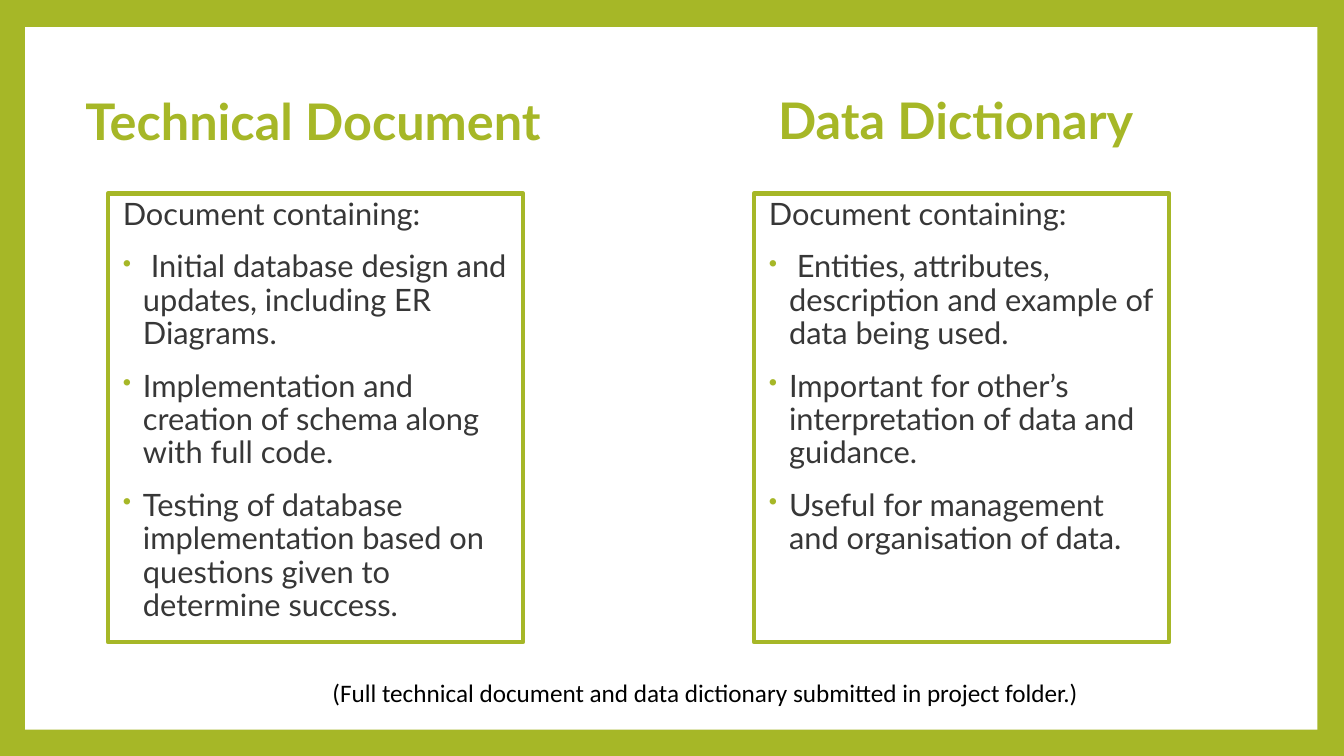
import pptx
import pptx.util
import pptx.dml.color
import pptx.enum.shapes
import pptx.enum.text
from lxml import etree

Pt = pptx.util.Pt
COLORS = {"green": "A6B727", "white": "FFFFFF", "body": "373737", "black": "000000"}
A_NS = "http://schemas.openxmlformats.org/drawingml/2006/main"
ANCHOR = pptx.enum.text.MSO_ANCHOR

CARD_W, CARD_H, CARD_TOP = 296.64, 320.4, 138.24
CARDS = [
    (77.04, [
        " Initial database design and updates, including ER Diagrams.",
        "Implementation and creation of schema along with full code.",
        "Testing of database implementation based on questions given to determine success.",
    ]),
    (538.56, [
        " Entities, attributes, description and example of data being used.",
        "Important for other’s interpretation of data and guidance.",
        "Useful for management and organisation of data.",
    ]),
]


def rgb(name):
    return pptx.dml.color.RGBColor.from_string(COLORS[name])


def add_run(p, text, size, color, font="Lato", bold=False):
    r = p.add_run()
    r.text = text
    r.font.name = font
    r.font.size = Pt(size)
    r.font.bold = bold
    r.font.color.rgb = rgb(color)


def add_rect(s, x, y, w, h):
    sp = s.shapes.add_shape(pptx.enum.shapes.MSO_SHAPE.RECTANGLE,
                            Pt(x), Pt(y), Pt(w), Pt(h))
    sp.shadow.inherit = False
    return sp


def add_frame(s, x, y, w, h):
    """White panel that leaves the green background as a border."""
    s.background.fill.solid()
    s.background.fill.fore_color.rgb = rgb("green")
    sp = add_rect(s, x, y, w, h)
    sp.fill.solid()
    sp.fill.fore_color.rgb = rgb("white")
    sp.line.fill.background()


def add_label(s, x, y, w, h, text, size, color, anchor=ANCHOR.TOP, **style):
    tf = s.shapes.add_textbox(Pt(x), Pt(y), Pt(w), Pt(h)).text_frame
    tf.word_wrap = True
    tf.vertical_anchor = anchor
    add_run(tf.paragraphs[0], text, size, color, **style)


def set_indent(p, left, first=0, bullet=False):
    """Set the paragraph margins in points, with a small green bullet if asked."""
    pPr = p._p.get_or_add_pPr()
    pPr.set("marL", str(Pt(left)))
    pPr.set("indent", str(Pt(first)))
    if bullet:
        clr = etree.SubElement(pPr, f"{{{A_NS}}}buClr")
        etree.SubElement(clr, f"{{{A_NS}}}srgbClr", val=COLORS["green"])
        etree.SubElement(pPr, f"{{{A_NS}}}buSzPct", val="80000")
        etree.SubElement(pPr, f"{{{A_NS}}}buChar", char="•")


def add_card(s, x, y, w, h, items):
    """Outlined box with a lead line and a bullet list."""
    sp = add_rect(s, x, y, w, h)
    sp.fill.background()
    sp.line.color.rgb = rgb("green")
    sp.line.width = Pt(3)
    tf = sp.text_frame
    tf.word_wrap = True
    tf.vertical_anchor = ANCHOR.TOP
    for i, text in enumerate(["Document containing:"] + items):
        p = tf.add_paragraph() if i else tf.paragraphs[0]
        p.alignment = pptx.enum.text.PP_ALIGN.LEFT
        p.line_spacing = 0.9
        p.space_before = Pt(14)
        if i:
            set_indent(p, 18, -14.4, bullet=True)
        else:
            set_indent(p, 3.6)
        add_run(p, text, 22, "body")


def main():
    prs = pptx.Presentation()
    prs.slide_width, prs.slide_height = Pt(960), Pt(540)
    s = prs.slides.add_slide(prs.slide_layouts[6])
    add_frame(s, 18, 19.44, 923.04, 501.84)
    add_label(s, 54, 32.4, 434.88, 106.56, "Technical Document", 36, "green",
              anchor=ANCHOR.MIDDLE, bold=True)
    add_label(s, 548.64, 59.76, 387.36, 51.12, "Data Dictionary", 36, "green", bold=True)
    for x, items in CARDS:
        add_card(s, x, CARD_TOP, CARD_W, CARD_H, items)
    add_label(s, 230.4, 480.24, 636.48, 28.8,
              "(Full technical document and data dictionary submitted in project folder.)",
              18, "black", font="Calibri")
    prs.save("out.pptx")


if __name__ == "__main__":
    main()
